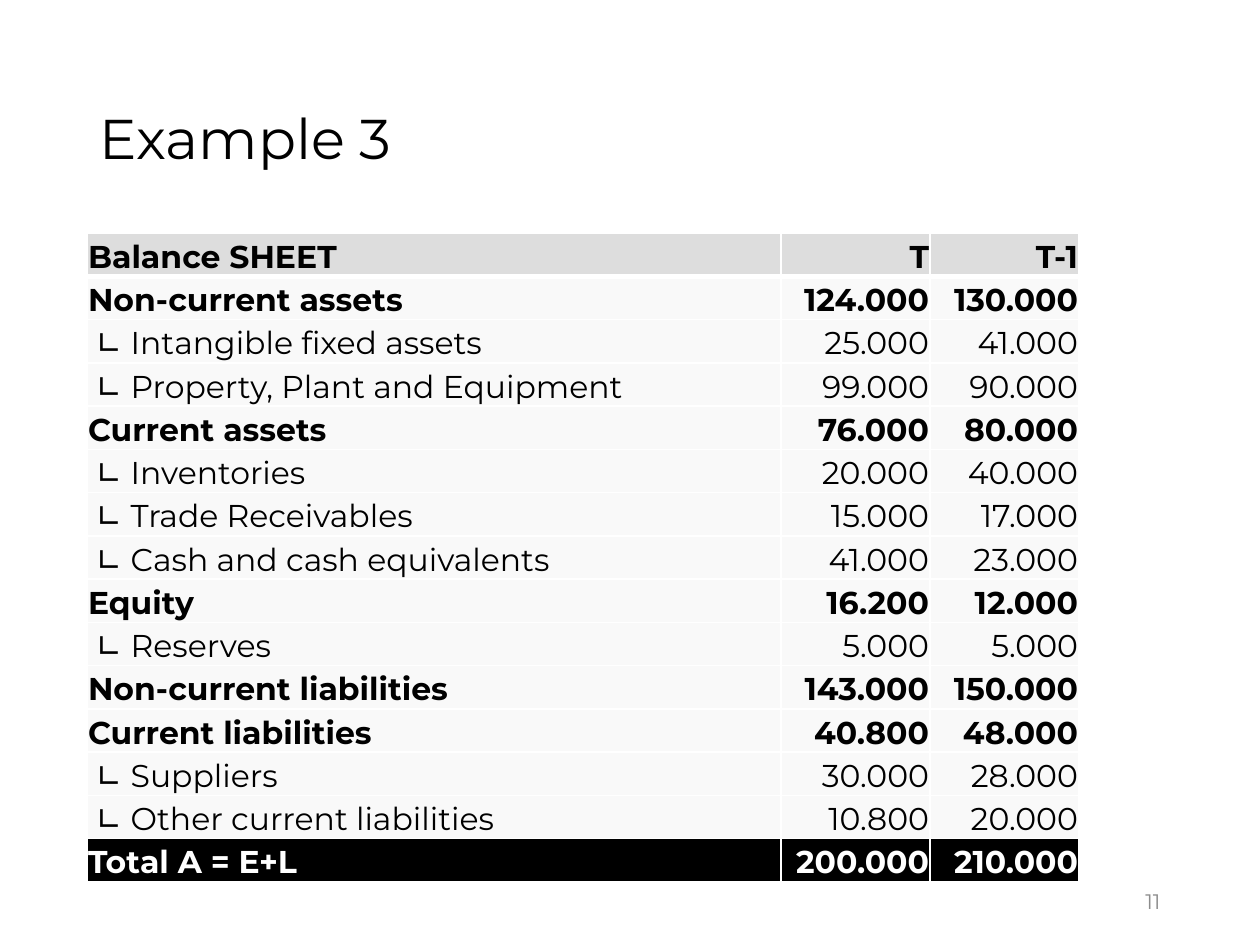
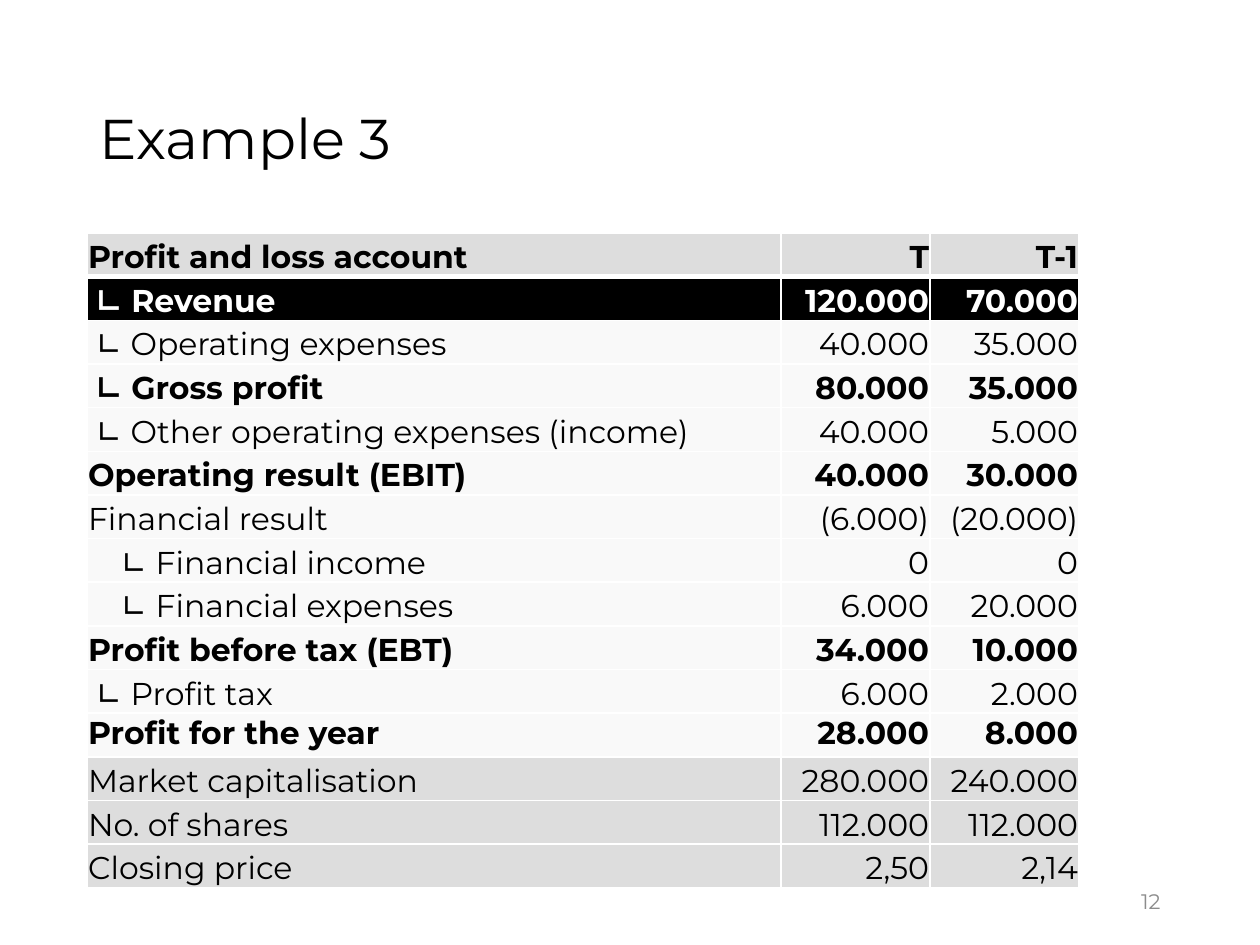
"""Build two slides with the balance sheet and the profit and loss account of Example 3."""
from lxml.etree import SubElement as add_element
from pptx import Presentation
from pptx.dml.color import RGBColor
from pptx.enum.text import MSO_ANCHOR as Anchor, MSO_AUTO_SIZE as AutoSize, PP_ALIGN as Align
from pptx.oxml.ns import qn
from pptx.util import Emu, Pt

BLACK, WHITE, GREY, PALE, MUTED = "000000", "FFFFFF", "DDDDDD", "F9F9F9", "8C8C8C"
FONT = "Montserrat"
TITLE_ONLY = 5
INDENTS = [0, 8, 33]
COLUMN_WIDTHS = [694, 149, 149]

HEADER = dict(fill=GREY, color=BLACK, bold=True, bottom_line=3)
SUBTOTAL = dict(fill=PALE, color=BLACK, bold=True)
RESULT = dict(SUBTOTAL, anchor=Anchor.TOP)
ITEM = dict(fill=PALE, color=BLACK, bold=False)
TOTAL = dict(fill=BLACK, color=WHITE, bold=True)
MARKET = dict(fill=GREY, color=BLACK, bold=False)

BALANCE_SHEET = [
    (HEADER, 0, "Balance SHEET", "T", "T-1"),
    (SUBTOTAL, 0, "Non-current assets", "124.000", "130.000"),
    (ITEM, 1, "Intangible fixed assets", "25.000", "41.000"),
    (ITEM, 1, "Property, Plant and Equipment", "99.000", "90.000"),
    (SUBTOTAL, 0, "Current assets", "76.000", "80.000"),
    (ITEM, 1, "Inventories", "20.000", "40.000"),
    (ITEM, 1, "Trade Receivables", "15.000", "17.000"),
    (ITEM, 1, "Cash and cash equivalents", "41.000", "23.000"),
    (SUBTOTAL, 0, "Equity", "16.200", "12.000"),
    (ITEM, 1, "Reserves", "5.000", "5.000"),
    (SUBTOTAL, 0, "Non-current liabilities", "143.000", "150.000"),
    (SUBTOTAL, 0, "Current liabilities", "40.800", "48.000"),
    (ITEM, 1, "Suppliers", "30.000", "28.000"),
    (ITEM, 1, "Other current liabilities", "10.800", "20.000"),
    (TOTAL, 0, "Total A = E+L", "200.000", "210.000"),
]
PROFIT_AND_LOSS = [
    (HEADER, 0, "Profit and loss account", "T", "T-1"),
    (TOTAL, 1, "Revenue", "120.000", "70.000"),
    (ITEM, 1, "Operating expenses", "40.000", "35.000"),
    (SUBTOTAL, 1, "Gross profit", "80.000", "35.000"),
    (ITEM, 1, "Other operating expenses (income)", "40.000", "5.000"),
    (SUBTOTAL, 0, "Operating result (EBIT)", "40.000", "30.000"),
    (ITEM, 0, "Financial result", "(6.000)", "(20.000)"),
    (ITEM, 2, "Financial income", "0", "0"),
    (ITEM, 2, "Financial expenses", "6.000", "20.000"),
    (SUBTOTAL, 0, "Profit before tax (EBT)", "34.000", "10.000"),
    (ITEM, 1, "Profit tax", "6.000", "2.000"),
    (RESULT, 0, "Profit for the year", "28.000", "8.000"),
    (MARKET, 0, "Market capitalisation", "280.000", "240.000"),
    (MARKET, 0, "No. of shares", "112.000", "112.000"),
    (MARKET, 0, "Closing price", "2,50", "2,14"),
]


def px(length):
    return Emu(round(length * 914400 / 126))


def rgb(color):
    return RGBColor.from_string(color)


def write(frame, text, size=18, color=BLACK, bold=False, align=Align.LEFT,
          anchor=Anchor.MIDDLE, indent=0, spacing=None):
    frame.vertical_anchor = anchor
    frame.word_wrap = True
    para = frame.paragraphs[0]
    para.alignment = align
    if spacing:
        para.line_spacing = spacing
    if indent:
        properties = para._p.get_or_add_pPr()
        properties.set("marL", str(px(indent)))
        properties.set("indent", "0")
    span = para.add_run()
    span.text = text
    span.font.name = FONT
    span.font.size = Pt(size)
    span.font.bold = bold
    span.font.color.rgb = rgb(color)


class StatementDeck:
    def __init__(self):
        self.deck = Presentation()
        self.deck.slide_width, self.deck.slide_height = px(1260), px(945)
        self.page = None

    def add_page(self, title, number):
        layout = self.deck.slide_layouts[TITLE_ONLY]
        self.page = self.deck.slides.add_slide(layout)
        box = self.page.shapes.title
        box.left, box.top, box.width, box.height = map(px, (87, 50, 1086, 183))
        box.text_frame.auto_size = AutoSize.NONE
        write(box.text_frame, title, size=32, spacing=0.9)
        self.add_number(number)

    def add_number(self, number):
        box = self.page.shapes.add_textbox(*map(px, (890, 876, 283, 50)))
        write(box.text_frame, str(number), size=12, color=MUTED, align=Align.RIGHT)

    def add_statement(self, rows, height):
        frame = self.page.shapes.add_table(
            len(rows), len(COLUMN_WIDTHS), px(87), px(233), px(sum(COLUMN_WIDTHS)), px(height))
        table = frame.table
        table.first_row = table.horz_banding = False
        for column, width in zip(table.columns, COLUMN_WIDTHS):
            column.width = px(width)
        for index, (style, level, label, *amounts) in enumerate(rows):
            table.rows[index].height = px(height / len(rows))
            top_line = rows[index - 1][0].get("bottom_line", 1) if index else 1
            name = f"∟ {label}" if level else label
            self.fill_cell(table.cell(index, 0), name, top_line, indent=INDENTS[level], **style)
            for column, amount in enumerate(amounts, 1):
                self.fill_cell(table.cell(index, column), amount, top_line,
                               align=Align.RIGHT, **style)

    def fill_cell(self, cell, text, top_line, fill, bottom_line=1, anchor=Anchor.BOTTOM, **style):
        cell.margin_left = cell.margin_right = cell.margin_top = px(1)
        cell.margin_bottom = 0
        for side, width in zip("LRTB", (1, 1, top_line, bottom_line)):
            self.add_border(cell, side, width)
        cell.fill.solid()
        cell.fill.fore_color.rgb = rgb(fill)
        write(cell.text_frame, text, **style)
        cell.vertical_anchor = anchor

    def add_border(self, cell, side, width):
        line = add_element(cell._tc.get_or_add_tcPr(), qn(f"a:ln{side}"), w=str(Pt(width)))
        add_element(add_element(line, qn("a:solidFill")), qn("a:srgbClr"), val=WHITE)


def main():
    statements = StatementDeck()
    for number, rows, height in ((11, BALANCE_SHEET, 649), (12, PROFIT_AND_LOSS, 655)):
        statements.add_page("Example 3", number)
        statements.add_statement(rows, height)
    statements.deck.save("out.pptx")


if __name__ == "__main__":
    main()
